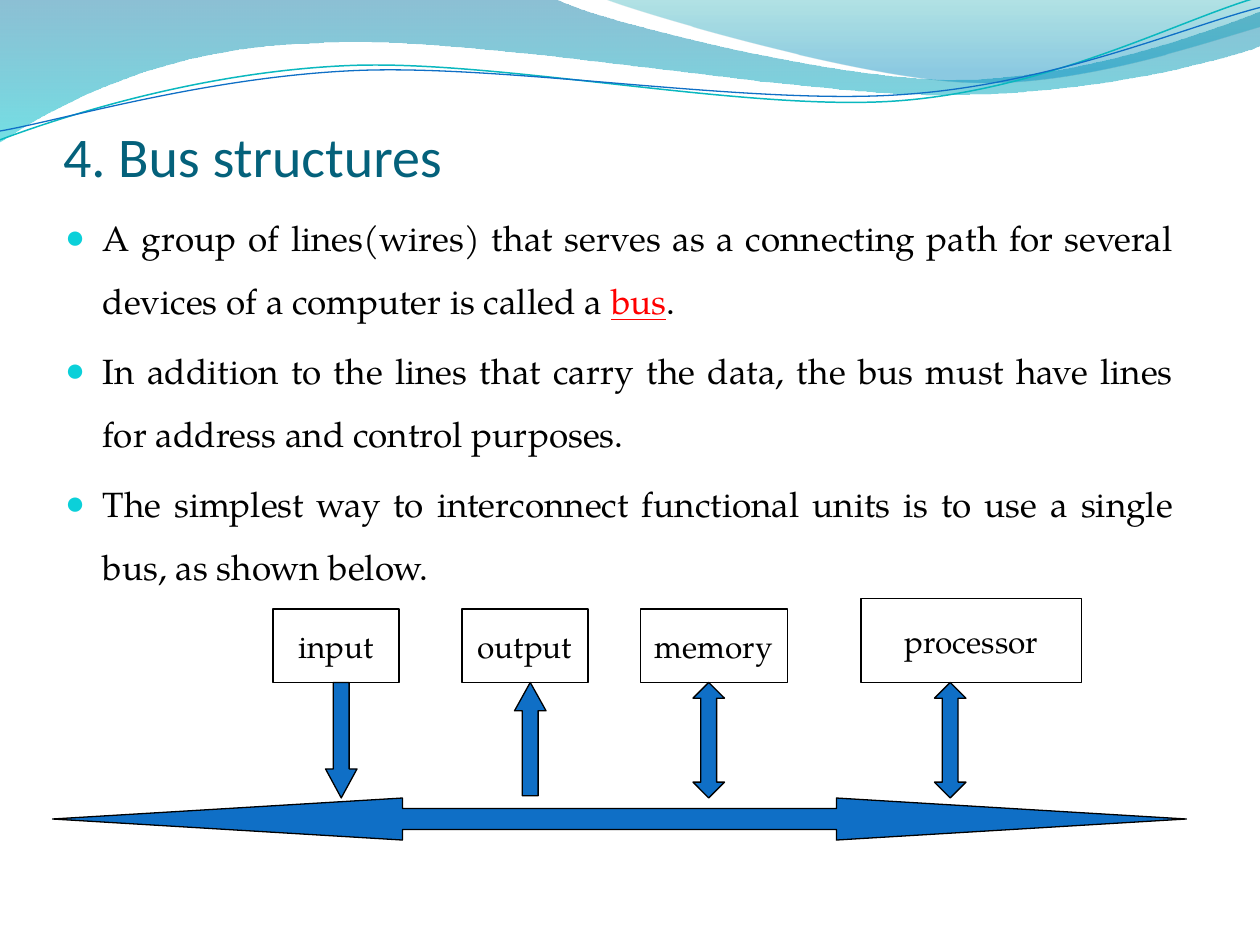
import math

import pptx
import pptx.dml.color
import pptx.enum.shapes
import pptx.enum.text
import pptx.oxml
import pptx.oxml.ns
import pptx.util
from pptx.util import Inches

COLORS = {"title": "04617B", "text": "000000", "key": "FF0000", "bullet": "0BD0D9",
          "arrow": "0F6FC6", "teal": "0AB8BF", "white": "FFFFFF"}
SERIF = "TeX Gyre Pagella"
SHAPE = pptx.enum.shapes.MSO_SHAPE
ALIGN = pptx.enum.text.PP_ALIGN
ANCHOR = pptx.enum.text.MSO_ANCHOR

TITLE = "4. Bus structures"
# Each point is a list of (text, is key term)
POINTS = [
    [("A group of lines(wires) that serves as a connecting path for several "
      "devices of a computer is called a ", False), ("bus", True), (".", False)],
    [("In addition to the lines that carry the data, the bus must have lines "
      "for address and control purposes.", False)],
    [("The simplest way to interconnect functional units is to use a single "
      "bus, as shown below.", False)],
]

# The diagram lies on a grid of twelfths of an inch
GRID = 1 / 12
UNIT_BOTTOM = 65
BUS = (5, 76, 108, 4)
# name, left, width, height, arrow shape, arrow left, arrow height, adjustments
UNITS = [
    ("input", 26, 12, 7, SHAPE.DOWN_ARROW, 31, 11, (0.5, 0.92)),
    ("output", 44, 12, 7, SHAPE.UP_ARROW, 49, 10.8, (0.5, 0.9)),
    ("memory", 61, 14, 7, SHAPE.UP_DOWN_ARROW, 66, 11, (0.73, 0.5)),
    ("processor", 82, 21, 8, SHAPE.UP_DOWN_ARROW, 89, 11, (0.73, 0.5)),
]

# Two coordinates make a straight segment, six a Bezier curve.
# Gradient stops are (colour, opacity in percent, position).
BANDS = [
    ([(0, 0), (4.4, -0.01), (4.76, 0.17, 6.64, 0.63, 7.58, 0.63),
      (8.53, 0.63, 9.58, 0.26, 10, 0.09), (10.01, 0.36),
      (9.83, 0.44, 8.7, 0.76, 7.46, 0.75), (6.22, 0.75, 3.82, 0.28, 2.57, 0.34),
      (1.29, 0.36, 0.46, 0.83, -0.01, 1.13)],
     [("0074A1", 45, 0), ("00C6CF", 55, 1)]),
    ([(4.79, -0.01), (5.09, 0.11, 6.82, 0.62, 7.69, 0.65),
      (8.56, 0.69, 9.61, 0.32, 10, 0.21), (10, 0)],
     [("00A1A9", 30, 0), ("008BBF", 45, 0.8)]),
]
STRAND_TILT = -2.7
# segments, centre, colour, width
STRANDS = [
    ([(0, 1.11), (0.48, 0.93, 1.58, 0.57, 2.77, 0.52),
      (3.95, 0.47, 5.93, 0.89, 7.13, 0.8), (8.33, 0.71, 9.38, 0.15, 9.98, -0.02)],
     (4.99, 0.58), "teal", 0.85),
    ([(0, 1.04), (0.47, 0.96, 1.64, 0.61, 2.83, 0.56),
      (4.03, 0.51, 5.97, 0.84, 7.17, 0.75), (8.36, 0.67, 9.41, 0.21, 10, 0.06)],
     (5, 0.59), "arrow", 0.75),
]


def rgb(value):
    return pptx.dml.color.RGBColor.from_string(value)


def add_child(parent, tag, **attributes):
    child = pptx.oxml.parse_xml(f"<a:{tag} {pptx.oxml.ns.nsdecls('a')}/>")
    for name, value in attributes.items():
        child.set(name, value)
    parent.append(child)
    return child


def write(paragraph, text, size, font=SERIF, color="text", align=ALIGN.CENTER, underline=None):
    paragraph.alignment = align
    run = paragraph.add_run()
    run.text = text
    run.font.size = pptx.util.Pt(size)
    run.font.name = font
    run.font.color.rgb = rgb(COLORS[color])
    run.font.underline = underline


def place(shape, *box):
    shape.left, shape.top, shape.width, shape.height = map(Inches, box)


def turn(x, y, center, degrees):
    cos, sin = math.cos(math.radians(degrees)), math.sin(math.radians(degrees))
    dx, dy = x - center[0], y - center[1]
    return center[0] + dx * cos - dy * sin, center[1] + dx * sin + dy * cos


def add_outline(slide, segments, depth, close=True, center=(0, 0), tilt=0):
    """Add a curved freeform at the given depth from the back; tilt is its rotation."""
    points = [turn(*segment[i:i + 2], center, -tilt)
              for segment in segments for i in range(0, len(segment), 2)]
    points = [(Inches(x), Inches(y)) for x, y in points]
    builder = slide.shapes.build_freeform(*points[0])
    builder.add_line_segments(points[1:], close=close)
    outline = builder.convert_to_shape()
    lines = iter(list(outline._element.iter(pptx.oxml.ns.qn("a:lnTo"))))
    for segment in segments[1:]:
        line = next(lines)
        if len(segment) == 6:
            curve = add_child(line.getparent(), "cubicBezTo")
            line.addprevious(curve)
            for part in (line, next(lines), next(lines)):
                curve.append(part[0])
                part.getparent().remove(part)
    outline.rotation = tilt
    outline.shadow.inherit = False
    outline.fill.background()
    outline._element.getparent().insert(2 + depth, outline._element)
    return outline


def add_waves(slide):
    for depth, (segments, stops) in enumerate(BANDS):
        band = add_outline(slide, segments, depth)
        band.line.fill.background()
        band.fill.gradient()
        band.fill.gradient_angle = 270
        for stop, (color, opacity, position) in zip(band.fill.gradient_stops, stops):
            stop.color.rgb = rgb(color)
            stop.position = position
            color_element = stop._gs.find(pptx.oxml.ns.qn("a:srgbClr"))
            add_child(color_element, "alpha", val=str(opacity * 1000))
    for depth, (segments, center, color, width) in enumerate(STRANDS, len(BANDS)):
        strand = add_outline(slide, segments, depth, False, center, STRAND_TILT)
        strand.line.color.rgb = rgb(COLORS[color])
        strand.line.width = pptx.util.Pt(width)


def add_block(slide, kind, *cells, fill="arrow", adjustments=()):
    block = slide.shapes.add_shape(kind, *(Inches(cell * GRID) for cell in cells))
    block.shadow.inherit = False
    block.fill.solid()
    block.fill.fore_color.rgb = rgb(COLORS[fill])
    block.line.color.rgb = rgb(COLORS["text"])
    block.line.width = pptx.util.Pt(0.75)
    for index, value in enumerate(adjustments):
        block.adjustments[index] = value
    return block


def add_title(slide):
    title = slide.shapes.title
    place(title, 0.5, 0.25, 9, 1.25)
    frame = title.text_frame
    frame.vertical_anchor = ANCHOR.BOTTOM
    frame.margin_left = frame.margin_right = frame.margin_bottom = 0
    write(frame.paragraphs[0], TITLE, 32, font="Calibri", color="title", align=ALIGN.LEFT)


def add_points(slide):
    body = slide.placeholders[1]
    place(body, 5 * GRID, 1.5, 9, 4.8)
    frame = body.text_frame
    for index, point in enumerate(POINTS):
        paragraph = frame.add_paragraph() if index else frame.paragraphs[0]
        paragraph.line_spacing = 1.5
        paragraph.space_before = pptx.util.Pt(4)
        for text, is_key in point:
            write(paragraph, text, 20, color="key" if is_key else "text",
                  align=ALIGN.JUSTIFY, underline=is_key)
        properties = paragraph._p.get_or_add_pPr()
        properties.set("marL", str(Inches(0.3)))
        properties.set("indent", str(Inches(-0.3)))
        add_child(add_child(properties, "buClr"), "srgbClr", val=COLORS["bullet"])
        add_child(properties, "buSzPct", val="95000")
        add_child(properties, "buChar", char="●")


def add_bus(slide):
    for name, left, width, height, *_ in UNITS:
        unit = add_block(slide, SHAPE.RECTANGLE, left, UNIT_BOTTOM - height, width, height,
                         fill="white")
        unit.text_frame.word_wrap = False
        unit.text_frame.vertical_anchor = ANCHOR.MIDDLE
        write(unit.text_frame.paragraphs[0], name, 18)
    add_block(slide, SHAPE.LEFT_RIGHT_ARROW, *BUS, adjustments=(0.5, 8.33))
    for *_, kind, left, height, adjustments in UNITS:
        add_block(slide, kind, left, UNIT_BOTTOM, 3, height, adjustments=adjustments)


def main():
    deck = pptx.Presentation()
    deck.slide_width, deck.slide_height = Inches(10), Inches(7.5)
    slide = deck.slides.add_slide(deck.slide_layouts[1])
    add_waves(slide)
    add_title(slide)
    add_points(slide)
    add_bus(slide)
    deck.save("out.pptx")


if __name__ == "__main__":
    main()
